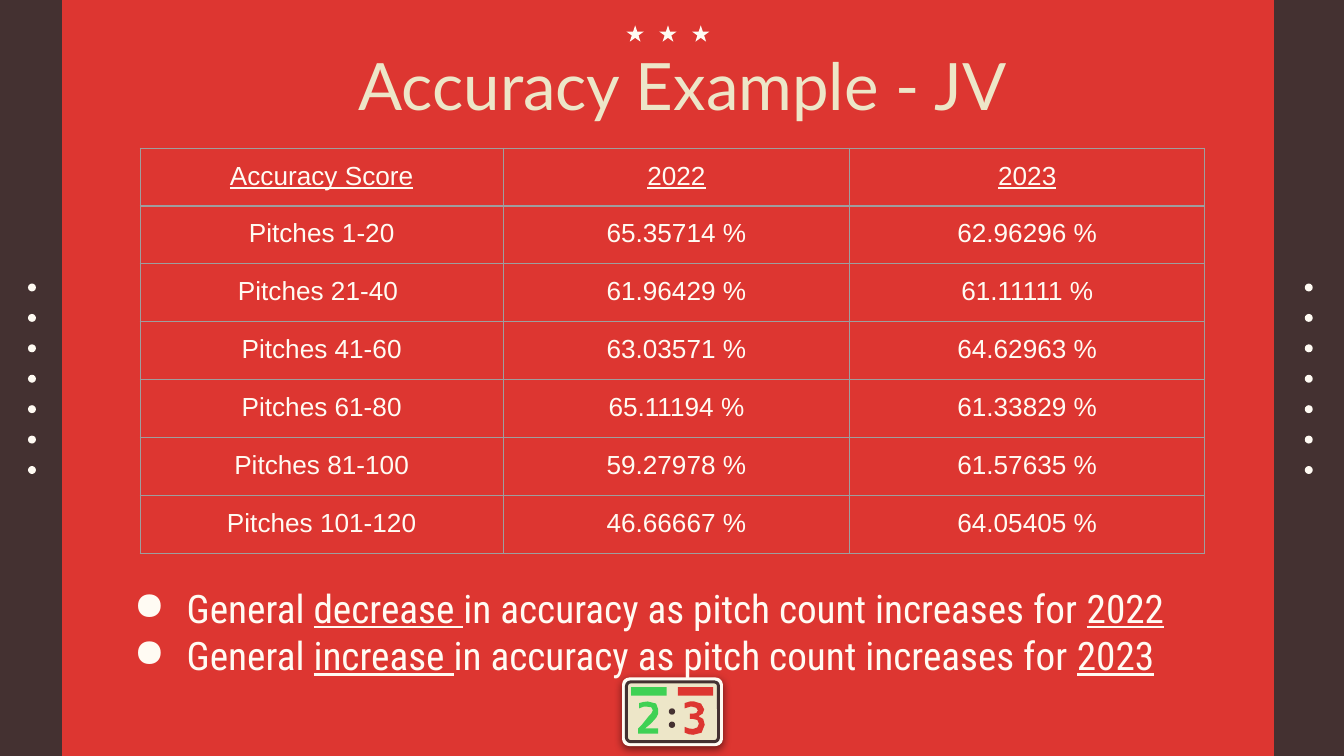
from lxml.etree import SubElement
from pptx import Presentation
from pptx.dml.color import RGBColor
from pptx.enum.shapes import MSO_SHAPE as Shape
from pptx.enum.text import MSO_ANCHOR as Anchor, PP_ALIGN as Align
from pptx.oxml.ns import qn
from pptx.util import Cm, Pt

RED, BROWN, WHITE = "DD3631", "443131", "FFFBF3"
CREAM, GREEN, GREY = "EDE6C8", "3FD154", "9E9E9E"

SCORES = [
    ("Accuracy Score", "2022", "2023"),
    ("Pitches 1-20", "65.35714 %", "62.96296 %"),
    ("Pitches 21-40 ", "61.96429 %", "61.11111 %"),
    ("Pitches 41-60", "63.03571 %", "64.62963 %"),
    ("Pitches 61-80", "65.11194 %", "61.33829 %"),
    ("Pitches 81-100", "59.27978 %", "61.57635 %"),
    ("Pitches 101-120", "46.66667 %", "64.05405 %"),
]
COLUMN_WIDTHS = (6.86, 6.55, 6.71)
ROW_HEIGHT = 1.06

FINDINGS = [("decrease ", "2022"), ("increase ", "2023")]

# Digit outlines in hundredths of a centimetre
TWO = [(18, 0), (10, 1), (2, 3), (2, 13), (10, 10), (18, 10), (25, 11),
       (28, 17), (25, 23), (20, 28), (8, 43), (0, 51), (0, 61), (38, 61),
       (38, 51), (13, 51), (24, 42), (34, 31), (38, 23), (38, 15), (34, 4)]
THREE = [(18, 0), (10, 0), (0, 3), (0, 13), (10, 10), (15, 10), (22, 12),
         (25, 17), (22, 22), (16, 23), (10, 23), (10, 33), (16, 33), (24, 35),
         (27, 42), (24, 49), (16, 52), (8, 51), (0, 48), (0, 59), (8, 62),
         (16, 63), (32, 59), (38, 44), (35, 33), (26, 28), (34, 23), (37, 15),
         (31, 4)]


def rgb(hex_color):
    return RGBColor.from_string(hex_color)


def paint(shape, fill, line=None, line_width=0):
    shape.shadow.inherit = False
    shape.fill.solid()
    shape.fill.fore_color.rgb = rgb(fill)
    if line:
        shape.line.color.rgb = rgb(line)
        shape.line.width = Pt(line_width)
    else:
        shape.line.fill.background()


def add_preset(slide, preset, x, y, width, height, fill, **outline):
    shape = slide.shapes.add_shape(preset, Cm(x), Cm(y), Cm(width), Cm(height))
    paint(shape, fill, **outline)
    return shape


def add_digit(slide, points, x, y, fill):
    builder = slide.shapes.build_freeform(*points[0], scale=Cm(0.01))
    builder.add_line_segments(points[1:], close=True)
    paint(builder.convert_to_shape(Cm(x), Cm(y)), fill)


def add_text(paragraph, text, font="Arial", size=14, color=WHITE,
             underline=False, align=None):
    run = paragraph.add_run()
    run.text = text
    run.font.name = font
    run.font.size = Pt(size)
    run.font.color.rgb = rgb(color)
    run.font.underline = underline
    if align is not None:
        paragraph.alignment = align


def add_text_frame(slide, x, y, width, height, anchor):
    frame = slide.shapes.add_textbox(
        Cm(x), Cm(y), Cm(width), Cm(height)).text_frame
    frame.word_wrap = True
    frame.vertical_anchor = anchor
    frame.margin_left = frame.margin_right = Cm(0.25)
    frame.margin_top = frame.margin_bottom = Cm(0.25)
    return frame


def add_bullet(paragraph):
    properties = paragraph._p.get_or_add_pPr()
    properties.set("marL", str(Cm(1.27)))
    properties.set("indent", str(Cm(-1)))
    bullet_color = SubElement(properties, qn("a:buClr"))
    SubElement(bullet_color, qn("a:srgbClr"), val=WHITE)
    SubElement(properties, qn("a:buChar"), char="●")


def add_drop_shadow(shape):
    effects = shape._element.spPr.find(qn("a:effectLst"))
    shadow = SubElement(effects, qn("a:outerShdw"), blurRad=str(Pt(4.5)),
                        dist=str(Pt(1.5)), dir="5400000")
    color = SubElement(shadow, qn("a:srgbClr"), val="000000")
    SubElement(color, qn("a:alpha"), val="50000")


def add_borders(cell):
    properties = cell._tc.get_or_add_tcPr()
    for side in ("lnL", "lnR", "lnT", "lnB"):
        border = SubElement(properties, qn(f"a:{side}"), w=str(Pt(0.75)))
        fill = SubElement(border, qn("a:solidFill"))
        SubElement(fill, qn("a:srgbClr"), val=GREY)


def add_decoration(slide):
    for x, y in ((-0.15, 0), (24.08, -0.05)):
        add_preset(slide, Shape.RECTANGLE, x, y, 1.32, 14.4, BROWN)
    for i in range(3):
        add_preset(slide, Shape.STAR_5_POINT, 11.84 + i * 0.62, 0.48,
                   0.33, 0.31, WHITE)
    dot_count, first_y, last_y = 7, 5.36, 8.81
    gap = (last_y - first_y) / (dot_count - 1)
    for x in (0.53, 24.66):
        for i in range(dot_count):
            add_preset(slide, Shape.OVAL, x, first_y + i * gap,
                       0.15, 0.15, WHITE)


def add_scoreboard(slide):
    board = add_preset(slide, Shape.ROUNDED_RECTANGLE, 11.81, 12.86, 1.8, 1.19,
                       WHITE, line=WHITE, line_width=3)
    add_drop_shadow(board)
    face = add_preset(slide, Shape.ROUNDED_RECTANGLE, 11.84, 12.89, 1.74, 1.13,
                      CREAM, line=BROWN, line_width=1.6)
    for panel in (board, face):
        panel.adjustments[0] = 0.07
    for bar_x, digit_x, digit, color in ((11.93, 12.06, TWO, GREEN),
                                         (12.81, 12.94, THREE, RED)):
        add_preset(slide, Shape.RECTANGLE, bar_x, 12.99, 0.67, 0.16, color)
        add_digit(slide, digit, digit_x, 13.26, color)
    for y in (13.39, 13.64):
        add_preset(slide, Shape.OVAL, 12.64, y, 0.12, 0.12, BROWN)


def add_score_table(slide):
    table = slide.shapes.add_table(
        len(SCORES), len(COLUMN_WIDTHS), Cm(2.65), Cm(2.8),
        Cm(sum(COLUMN_WIDTHS)), Cm(ROW_HEIGHT * len(SCORES))).table
    table.first_row = table.horz_banding = False
    for column, width in zip(table.columns, COLUMN_WIDTHS):
        column.width = Cm(width)
    for r, scores in enumerate(SCORES):
        table.rows[r].height = Cm(ROW_HEIGHT)
        for c, score in enumerate(scores):
            cell = table.cell(r, c)
            cell.margin_left = cell.margin_right = Cm(0.25)
            cell.margin_top = cell.margin_bottom = Cm(0.25)
            add_borders(cell)
            cell.fill.background()
            add_text(cell.text_frame.paragraphs[0], score,
                     underline=r == 0, align=Align.CENTER)


def add_findings(slide):
    frame = add_text_frame(slide, 2.01, 10.74, 22.68, 2.39, Anchor.MIDDLE)
    for i, (trend, year) in enumerate(FINDINGS):
        paragraph = frame.add_paragraph() if i else frame.paragraphs[0]
        add_bullet(paragraph)
        parts = ("General ", trend,
                 "in accuracy as pitch count increases for ", year)
        for part in parts:
            add_text(paragraph, part, font="Roboto Condensed", size=21,
                     underline=part in (trend, year))


def main():
    deck = Presentation()
    deck.slide_width, deck.slide_height = Cm(25.4), Cm(14.29)
    slide = deck.slides.add_slide(deck.slide_layouts[6])
    slide.background.fill.solid()
    slide.background.fill.fore_color.rgb = rgb(RED)
    add_decoration(slide)
    add_scoreboard(slide)
    title = add_text_frame(slide, 1.12, 0.61, 23.57, 1.6, Anchor.TOP)
    add_text(title.paragraphs[0], "Accuracy Example - JV", font="Lato",
             size=35, color=CREAM, align=Align.CENTER)
    add_score_table(slide)
    add_findings(slide)
    deck.save("out.pptx")


if __name__ == "__main__":
    main()
